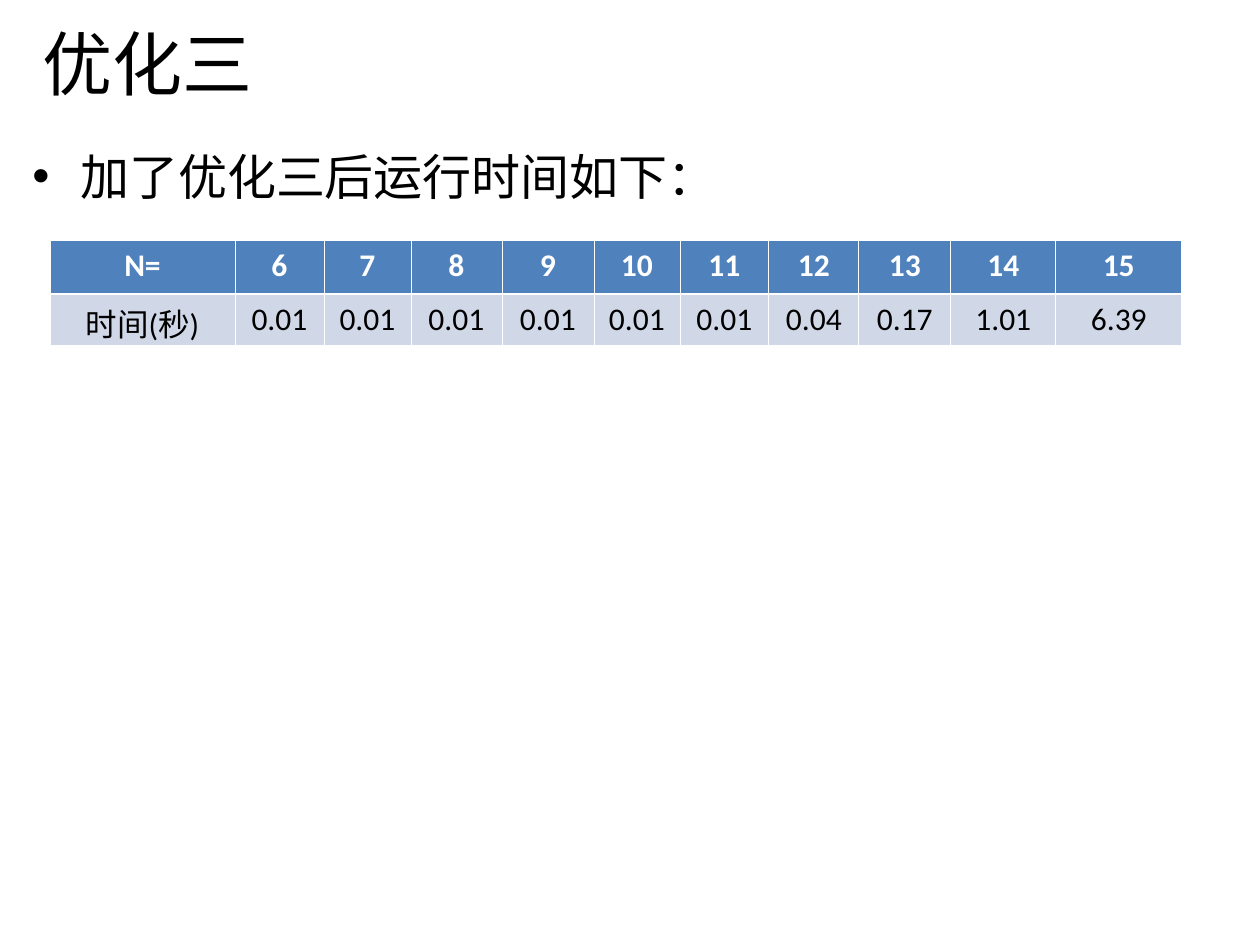
"""Build the slide listing run times after the third optimisation."""
import lxml.etree
import pptx
import pptx.dml.color
import pptx.enum.text
import pptx.oxml.ns
import pptx.util

PX = 914400 // 126
BLACK = pptx.dml.color.RGBColor(0x00, 0x00, 0x00)
WHITE = pptx.dml.color.RGBColor(0xFF, 0xFF, 0xFF)
HEADER_BLUE = pptx.dml.color.RGBColor(0x4F, 0x81, 0xBD)
BODY_BLUE = pptx.dml.color.RGBColor(0xD0, 0xD8, 0xE8)
THIN, THICK = 0.45, 1.47


def write_text(paragraph, text, font_values):
    run = paragraph.add_run()
    run.text = text
    font_values = dict(font_values)
    run.font.color.rgb = font_values.pop("color")
    for name, value in font_values.items():
        setattr(run.font, name, value)


def add_border(cell, side, width):
    properties = cell._tc.get_or_add_tcPr()
    line = lxml.etree.SubElement(properties, pptx.oxml.ns.qn(f"a:ln{side}"), w=str(pptx.util.Pt(width)))
    fill = lxml.etree.SubElement(line, pptx.oxml.ns.qn("a:solidFill"))
    lxml.etree.SubElement(fill, pptx.oxml.ns.qn("a:srgbClr"), val=str(WHITE))


presentation = pptx.Presentation()
presentation.slide_width = 1260 * PX
presentation.slide_height = 945 * PX
slide = presentation.slides.add_slide(presentation.slide_layouts[6])

title = slide.shapes.add_textbox(30 * PX, 10 * PX, 1134 * PX, 105 * PX)
title.text_frame.word_wrap = True
title.text_frame.vertical_anchor = pptx.enum.text.MSO_ANCHOR.MIDDLE
write_text(title.text_frame.paragraphs[0], "优化三",
           {"size": pptx.util.Pt(40), "name": "Arial", "color": BLACK})

body = slide.shapes.add_textbox(20 * PX, 140 * PX, 1215 * PX, 764 * PX)
body.text_frame.word_wrap = True
bullet_paragraph = body.text_frame.paragraphs[0]
bullet_properties = bullet_paragraph._p.get_or_add_pPr()
bullet_properties.set("marL", str(48 * PX))
bullet_properties.set("indent", str(-48 * PX))
lxml.etree.SubElement(bullet_properties, pptx.oxml.ns.qn("a:buFont"), typeface="Arial")
lxml.etree.SubElement(bullet_properties, pptx.oxml.ns.qn("a:buChar"), char="•")
write_text(bullet_paragraph, "加了优化三后运行时间如下：",
           {"size": pptx.util.Pt(28), "name": "Arial", "color": BLACK})

column_widths = [185, 89, 87, 91, 92, 86, 89, 90, 92, 105, 126]
row_heights = [54, 51]
rows = [
    ["N=", *map(str, range(6, 16))],
    ["时间(秒)", *["0.01"] * 6, "0.04", "0.17", "1.01", "6.39"],
]
row_styles = [
    {"fill": HEADER_BLUE, "color": WHITE, "bold": True, "borders": {"L": THIN, "R": THIN, "T": THIN, "B": THICK}},
    {"fill": BODY_BLUE, "color": BLACK, "bold": False, "borders": {"L": THIN, "R": THIN, "T": THICK, "B": THIN}},
]
table = slide.shapes.add_table(len(rows), len(column_widths), 50 * PX, 240 * PX,
                               sum(column_widths) * PX, sum(row_heights) * PX).table
for column, width in zip(table.columns, column_widths):
    column.width = width * PX
for row, height, texts, style in zip(table.rows, row_heights, rows, row_styles):
    row.height = height * PX
    for cell, text in zip(row.cells, texts):
        for side, width in style["borders"].items():
            add_border(cell, side, width)
        cell.fill.solid()
        cell.fill.fore_color.rgb = style["fill"]
        paragraph = cell.text_frame.paragraphs[0]
        paragraph.alignment = pptx.enum.text.PP_ALIGN.CENTER
        write_text(paragraph, text, {"size": pptx.util.Pt(18), "name": "Calibri",
                                     "bold": style["bold"], "color": style["color"]})

presentation.save("out.pptx")
